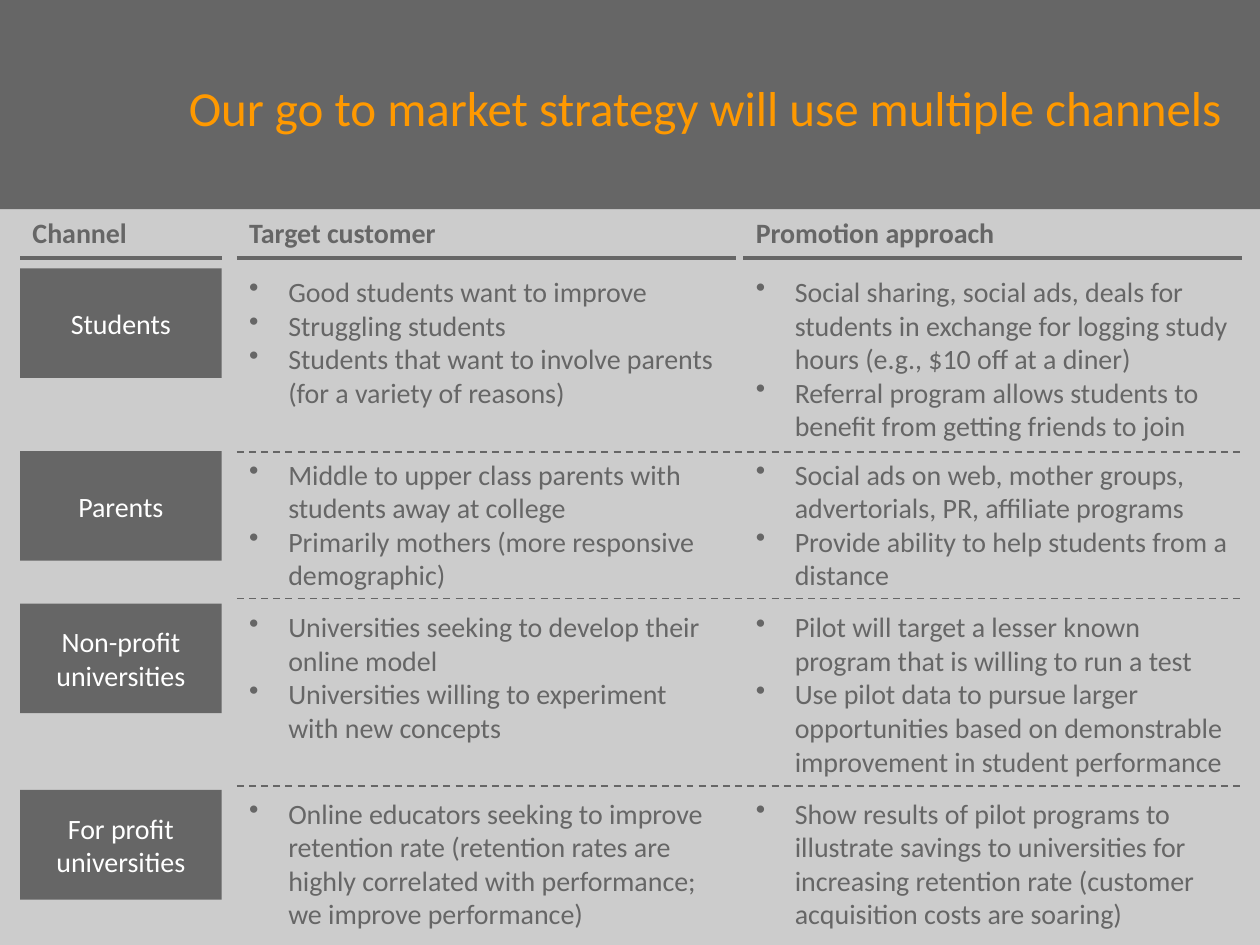
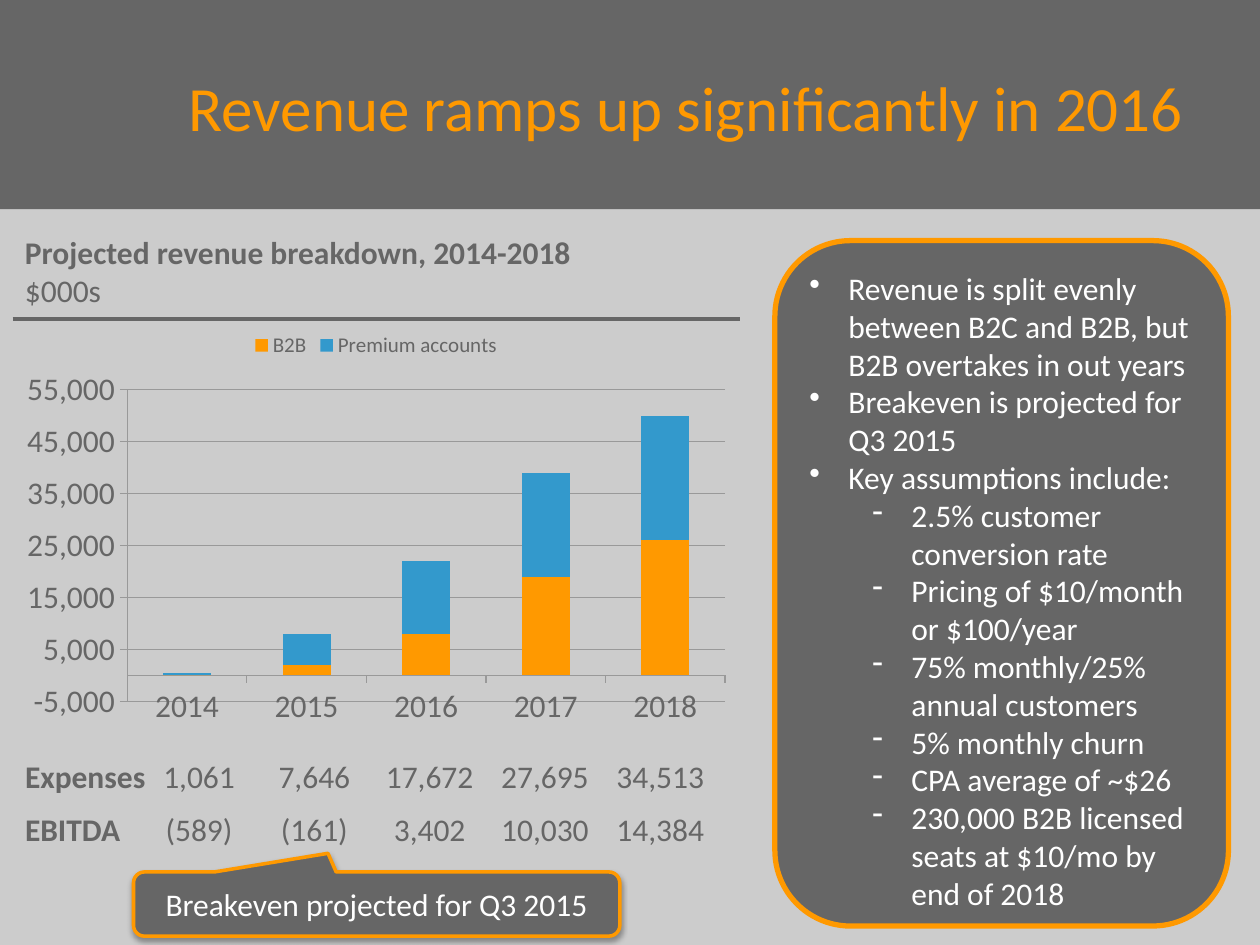
from collections import namedtuple
from dataclasses import dataclass

from lxml import etree
from pptx import Presentation
from pptx.chart.data import CategoryChartData
from pptx.dml.color import RGBColor
from pptx.enum.chart import XL_CHART_TYPE, XL_LEGEND_POSITION, XL_TICK_MARK
from pptx.enum.dml import MSO_LINE
from pptx.enum.shapes import MSO_CONNECTOR, MSO_SHAPE
from pptx.enum.text import MSO_ANCHOR, MSO_AUTO_SIZE, PP_ALIGN
from pptx.oxml.ns import qn
from pptx.util import Inches, Pt

RECTANGLE = MSO_SHAPE.RECTANGLE
ROUNDED = MSO_SHAPE.ROUNDED_RECTANGLE
CALLOUT = MSO_SHAPE.ROUNDED_RECTANGULAR_CALLOUT
STRAIGHT = MSO_CONNECTOR.STRAIGHT
DASH = MSO_LINE.DASH
TOP, MIDDLE = MSO_ANCHOR.TOP, MSO_ANCHOR.MIDDLE
LEFT, CENTER = PP_ALIGN.LEFT, PP_ALIGN.CENTER
FIT_TEXT = MSO_AUTO_SIZE.SHAPE_TO_FIT_TEXT
STACKED = XL_CHART_TYPE.COLUMN_STACKED
LEGEND_TOP = XL_LEGEND_POSITION.TOP
TICK_OUT = XL_TICK_MARK.OUTSIDE


@dataclass(frozen=True)
class Theme:
    font: str = "Calibri"
    background: RGBColor = RGBColor(0xCC, 0xCC, 0xCC)
    dark: RGBColor = RGBColor(0x66, 0x66, 0x66)
    grid: RGBColor = RGBColor(0x99, 0x99, 0x99)
    orange: RGBColor = RGBColor(0xFF, 0x99, 0x00)
    blue: RGBColor = RGBColor(0x33, 0x99, 0xCC)
    white: RGBColor = RGBColor(0xFF, 0xFF, 0xFF)
    legend_size: int = 12
    table_size: int = 16
    body_size: int = 18
    long_title_size: int = 28
    title_size: int = 36


THEME = Theme()
Box = namedtuple("Box", "left top width height")
Line = namedtuple("Line", "text bullet level bold", defaults=("", 0, False))
Channel = namedtuple("Channel", "name top divider customers promotions")

COLUMNS = [("Channel", 0.16, 1.6), ("Target customer", 1.88, 3.96), ("Promotion approach", 5.9, 3.96)]
CHANNELS = [
    Channel("Students", 2.13, None,
            ["Good students want to improve", "Struggling students",
             "Students that want to involve parents (for a variety of reasons)"],
            ["Social sharing, social ads, deals for students in exchange for logging study "
             "hours (e.g., $10 off at a diner)",
             "Referral program allows students to benefit from getting friends to join"]),
    Channel("Parents", 3.58, 3.59,
            ["Middle to upper class parents with students away at college",
             "Primarily mothers (more responsive demographic)"],
            ["Social ads on web, mother groups, advertorials, PR, affiliate programs",
             "Provide ability to help students from a distance"]),
    Channel("Non-profit universities", 4.79, 4.75,
            ["Universities seeking to develop their online model",
             "Universities willing to experiment with new concepts"],
            ["Pilot will target a lesser known program that is willing to run a test",
             "Use pilot data to pursue larger opportunities based on demonstrable "
             "improvement in student performance"]),
    Channel("For profit universities", 6.27, 6.24,
            ["Online educators seeking to improve retention rate (retention rates are highly "
             "correlated with performance; we improve performance)"],
            ["Show results of pilot programs to illustrate savings to universities for "
             "increasing retention rate (customer acquisition costs are soaring)"]),
]
YEARS = ["2014", "2015", "2016", "2017", "2018"]
REVENUE = [
    ("B2B", [0, 2000, 8000, 19000, 26000], THEME.orange),
    ("Premium accounts", [400, 6000, 14000, 20000, 24000], THEME.blue),
]
FIGURES = [
    ("Expenses", ["1,061", "7,646", "17,672", "27,695", "34,513"]),
    ("EBITDA", ["(589)", "(161)", "3,402", "10,030", "14,384"]),
]
TAKEAWAYS = [
    "Revenue is split evenly between B2C and B2B, but B2B overtakes in out years",
    "Breakeven is projected for Q3 2015",
    "Key assumptions include:",
]
ASSUMPTIONS = [
    "2.5% customer conversion rate",
    "Pricing of $10/month or $100/year",
    "75% monthly/25% annual customers",
    "5% monthly churn",
    "CPA average of ~$26",
    "230,000 B2B licensed seats at $10/mo by end of 2018",
]


def set_font(font, size, color, bold=False):
    font.name = THEME.font
    font.size = Pt(size)
    font.color.rgb = color
    font.bold = bold


def write(frame, lines, size, color, align=LEFT, anchor=TOP):
    frame.word_wrap = True
    frame.vertical_anchor = anchor
    for index, line in enumerate(lines):
        paragraph = frame.paragraphs[0] if index == 0 else frame.add_paragraph()
        paragraph.text = line.text
        paragraph.alignment = align
        paragraph.level = line.level
        if line.bullet:
            properties = paragraph._p.get_or_add_pPr()
            properties.set("marL", str(Inches(0.31 + 0.5 * line.level)))
            properties.set("indent", str(-Inches(0.31)))
            etree.SubElement(properties, qn("a:buChar"), char=line.bullet)
        set_font(paragraph.font, size, color, line.bold)


def add_text(slide, box, lines, size, color=THEME.dark, align=LEFT):
    shape = slide.shapes.add_textbox(*map(Inches, box))
    write(shape.text_frame, lines, size, color, align)
    shape.text_frame.auto_size = FIT_TEXT
    return shape


def add_panel(slide, kind, box, lines=(), size=THEME.body_size, align=CENTER, anchor=MIDDLE, outline=0):
    shape = slide.shapes.add_shape(kind, *map(Inches, box))
    shape.shadow.inherit = False
    shape.fill.solid()
    shape.fill.fore_color.rgb = THEME.dark
    if outline:
        shape.line.color.rgb = THEME.orange
        shape.line.width = Pt(outline)
    else:
        shape.line.fill.background()
    write(shape.text_frame, lines, size, THEME.white, align, anchor)
    return shape


def add_rule(slide, left, top, width, weight=2, dash=None):
    rule = slide.shapes.add_connector(
        STRAIGHT, Inches(left), Inches(top), Inches(left + width), Inches(top))
    rule.line.color.rgb = THEME.dark
    rule.line.width = Pt(weight)
    if dash:
        rule.line.dash_style = dash
    etree.SubElement(rule._element.spPr, qn("a:effectLst"))


def add_titled_slide(presentation, title, size):
    slide = presentation.slides.add_slide(presentation.slide_layouts[6])
    slide.background.fill.solid()
    slide.background.fill.fore_color.rgb = THEME.background
    add_panel(slide, RECTANGLE, Box(0, 0, 10, 1.66))
    title_box = slide.shapes.add_textbox(*map(Inches, Box(1.4, 0.22, 8.54, 1.25)))
    write(title_box.text_frame, [Line(title)], size, THEME.orange, anchor=MIDDLE)
    return slide


def add_column_headers(slide, top):
    for heading, left, width in COLUMNS:
        add_text(slide, Box(left, top, width, 0.37), [Line(heading, bold=True)], THEME.table_size)
        add_rule(slide, left, top + 0.39, width)


def add_channel(slide, channel):
    (_, name_left, name_width), *detail_columns = COLUMNS
    add_panel(slide, RECTANGLE, Box(name_left, channel.top, name_width, 0.87),
              [Line(channel.name)], THEME.table_size)
    for (_, left, width), points in zip(detail_columns, (channel.customers, channel.promotions)):
        add_text(slide, Box(left, channel.top, width, 1.18),
                 [Line(point, "•") for point in points], THEME.table_size)
    if channel.divider:
        add_rule(slide, 1.88, channel.divider, 7.98, 1, DASH)


def add_revenue_chart(slide, box):
    data = CategoryChartData(number_format="#,##0")
    data.categories = YEARS
    for name, values, _ in REVENUE:
        data.add_series(name, values)
    chart = slide.shapes.add_chart(STACKED, *map(Inches, box), data).chart
    set_font(chart.font, THEME.body_size, THEME.dark)
    chart.has_title = False
    chart.has_legend = True
    chart.legend.position = LEGEND_TOP
    chart.legend.include_in_layout = False
    set_font(chart.legend.font, THEME.legend_size, THEME.dark)
    plot = chart.plots[0]
    plot.gap_width = 150
    plot.overlap = 100
    plot.vary_by_categories = False
    for series, (_, _, color) in zip(plot.series, REVENUE):
        series.format.fill.solid()
        series.format.fill.fore_color.rgb = color
    values_axis = chart.value_axis
    values_axis.minimum_scale = -5000
    values_axis.maximum_scale = 55000
    values_axis.major_unit = 10000
    values_axis.tick_labels.number_format = "#,##0"
    values_axis.tick_labels.number_format_is_linked = False
    values_axis.major_gridlines.format.line.color.rgb = THEME.grid
    for axis in (values_axis, chart.category_axis):
        axis.major_tick_mark = TICK_OUT
        axis.format.line.color.rgb = THEME.grid


def add_revenue_section(slide, box):
    heading = [Line("Projected revenue breakdown, 2014-2018", bold=True), Line("$000s")]
    add_text(slide, Box(box.left, box.top, box.width, 0.71), heading, THEME.body_size)
    add_rule(slide, box.left, box.top + 0.73, box.width)
    add_revenue_chart(slide, Box(box.left, box.top + 0.73, box.width, box.height - 0.73))


def add_figures(slide, box):
    row_step = box.height / len(FIGURES)
    year_step = 3.66 / (len(YEARS) - 1)
    for row, (label, values) in enumerate(FIGURES):
        top = box.top + row * row_step
        add_text(slide, Box(box.left, top, 1.69, 0.4), [Line(label, bold=True)], THEME.body_size)
        for column, value in enumerate(values):
            left = box.left + 0.94 + column * year_step
            add_text(slide, Box(left, top, 1.08, 0.4), [Line(value)], THEME.body_size, align=CENTER)


def add_breakeven_callout(slide, box):
    callout = add_panel(slide, CALLOUT, box, [Line("Breakeven projected for Q3 2015")], outline=2)
    for index, value in enumerate((-0.1, -0.79, 0.17)):
        callout.adjustments[index] = value
    effects = callout._element.spPr.find(qn("a:effectLst"))
    shadow = etree.SubElement(effects, qn("a:outerShdw"), blurRad=str(Pt(3.1)), dist=str(Pt(1.8)),
                              dir="5400000", rotWithShape="0")
    color = etree.SubElement(shadow, qn("a:srgbClr"), val="000000")
    etree.SubElement(color, qn("a:alpha"), val="35000")


def add_takeaways(slide, box):
    lines = [Line(text, "•") for text in TAKEAWAYS]
    lines += [Line(text, "-", 1) for text in ASSUMPTIONS]
    add_panel(slide, ROUNDED, box, lines, align=LEFT, anchor=TOP, outline=3)


def build_channels_slide(presentation):
    slide = add_titled_slide(
        presentation, "Our go to market strategy will use multiple channels", THEME.long_title_size)
    add_column_headers(slide, 1.66)
    for channel in CHANNELS:
        add_channel(slide, channel)


def build_revenue_slide(presentation):
    slide = add_titled_slide(presentation, "Revenue ramps up significantly in 2016", THEME.title_size)
    add_revenue_section(slide, Box(0.1, 1.8, 5.77, 4.03))
    add_takeaways(slide, Box(6.15, 1.91, 3.6, 5.44))
    add_figures(slide, Box(0.1, 5.96, 5.77, 0.84))
    add_breakeven_callout(slide, Box(1.06, 6.92, 3.86, 0.51))


def main():
    presentation = Presentation()
    presentation.slide_width = Inches(10)
    presentation.slide_height = Inches(7.5)
    build_channels_slide(presentation)
    build_revenue_slide(presentation)
    presentation.save("out.pptx")


if __name__ == "__main__":
    main()
